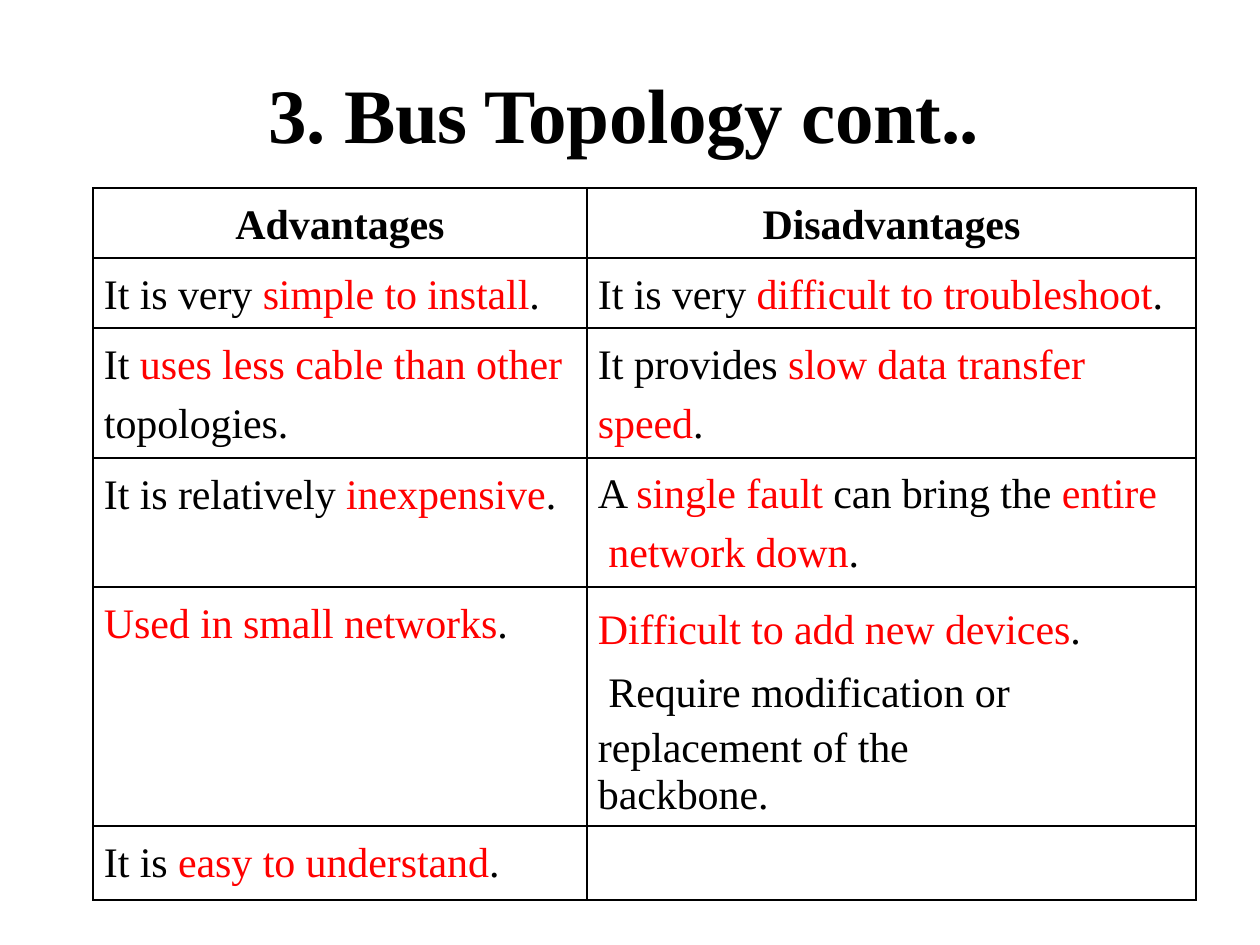
import pptx
import pptx.dml.color
import pptx.enum.text
import pptx.oxml
import pptx.oxml.ns
import pptx.util

PX = 914400 // 126
FONT = "Times New Roman"
BLACK, RED = "000000", "FF0000"
Pt = pptx.util.Pt
ALIGN = pptx.enum.text.PP_ALIGN


def add_text(p, text, size, bold, spc):
    """Fill a paragraph: "|" switches between black and red, "\\v" breaks the line."""
    for i, part in enumerate(text.split("|")):
        for j, piece in enumerate(part.split("\v")):
            if j:
                p.add_line_break()
            if not piece:
                continue
            r = p.add_run()
            r.text = piece
            for name, value in {"name": FONT, "size": Pt(size), "bold": bold}.items():
                setattr(r.font, name, value)
            color = pptx.dml.color.RGBColor.from_string(RED if i % 2 else BLACK)
            r.font.color.rgb = color
            r._r.get_or_add_rPr().set("spc", str(spc))


def add_borders(cell):
    tcPr = cell._tc.get_or_add_tcPr()
    for i, side in enumerate(("lnL", "lnR", "lnT", "lnB")):
        tcPr.insert(i, pptx.oxml.parse_xml(
            f'<a:{side} {pptx.oxml.ns.nsdecls("a")} w="12700"><a:solidFill>'
            f'<a:srgbClr val="{BLACK}"/></a:solidFill></a:{side}>'))


prs = pptx.Presentation()
prs.slide_width, prs.slide_height = pptx.util.Inches(10), pptx.util.Inches(7.5)
s = prs.slides.add_slide(prs.slide_layouts[6])

# Title
sp = s.shapes.add_textbox(268 * PX, 64 * PX, 722 * PX, 96 * PX)
tf = sp.text_frame
margins = {"margin_left": PX, "margin_top": 3 * PX, "margin_right": 0, "margin_bottom": 0}
for name, value in {**margins, "word_wrap": False}.items():
    setattr(tf, name, value)
add_text(tf.paragraphs[0], "3. Bus Topology cont..", 44, True, -25)

# Table: one row per entry, with its height in px
rows = [
    (70, "Advantages", "Disadvantages"),
    (70, "It is very |simple to install|.",
     "It is very |difficult to troubleshoot|."),
    (130, "It |uses less cable than other\ntopologies.",
     "It provides |slow data transfer\n|speed|."),
    (129, "It is relatively |inexpensive|.",
     "A |single fault |can bring the |entire\v network down|."),
    (238, "|Used in small networks|.",
     "|Difficult to add new devices|.\v Require modification or\n"
     "replacement of the\vbackbone."),
    (74, "It is |easy to understand|.", ""),
]
widths = [494, 609]
# (row, column): top margin in px, first line spacing, space between paragraphs
spacing = {(3, 1): (2, 1.25, 0), (4, 1): (4, Pt(36), 4.8)}

height = sum(row[0] for row in rows)
table = s.shapes.add_table(len(rows), 2, 93 * PX, 188 * PX,
                           sum(widths) * PX, height * PX).table
table.first_row = table.horz_banding = False
for c, width in enumerate(widths):
    table.columns[c].width = width * PX

for i, (row_height, *texts) in enumerate(rows):
    table.rows[i].height = row_height * PX
    for c, text in enumerate(texts):
        cell = table.cell(i, c)
        top, line_spacing, gap = spacing.get((i, c), (14, None, 7.2))
        margins = {"margin_left": 11 * PX if i else 0, "margin_top": top * PX,
                   "margin_right": 0, "margin_bottom": 0}
        for name, value in margins.items():
            setattr(cell, name, value)
        cell.fill.background()
        add_borders(cell)
        for n, line in enumerate(text.split("\n")):
            p = cell.text_frame.add_paragraph() if n else cell.text_frame.paragraphs[0]
            p.alignment = ALIGN.LEFT if i else ALIGN.CENTER
            if n:
                p.space_before = Pt(gap)
            elif line_spacing:
                p.line_spacing = line_spacing
            # A line continued from the paragraph before keeps its own colours
            add_text(p, line, 24, i == 0, -5)

# The second line of the slow-speed cell starts in red
prs.save("out.pptx")
